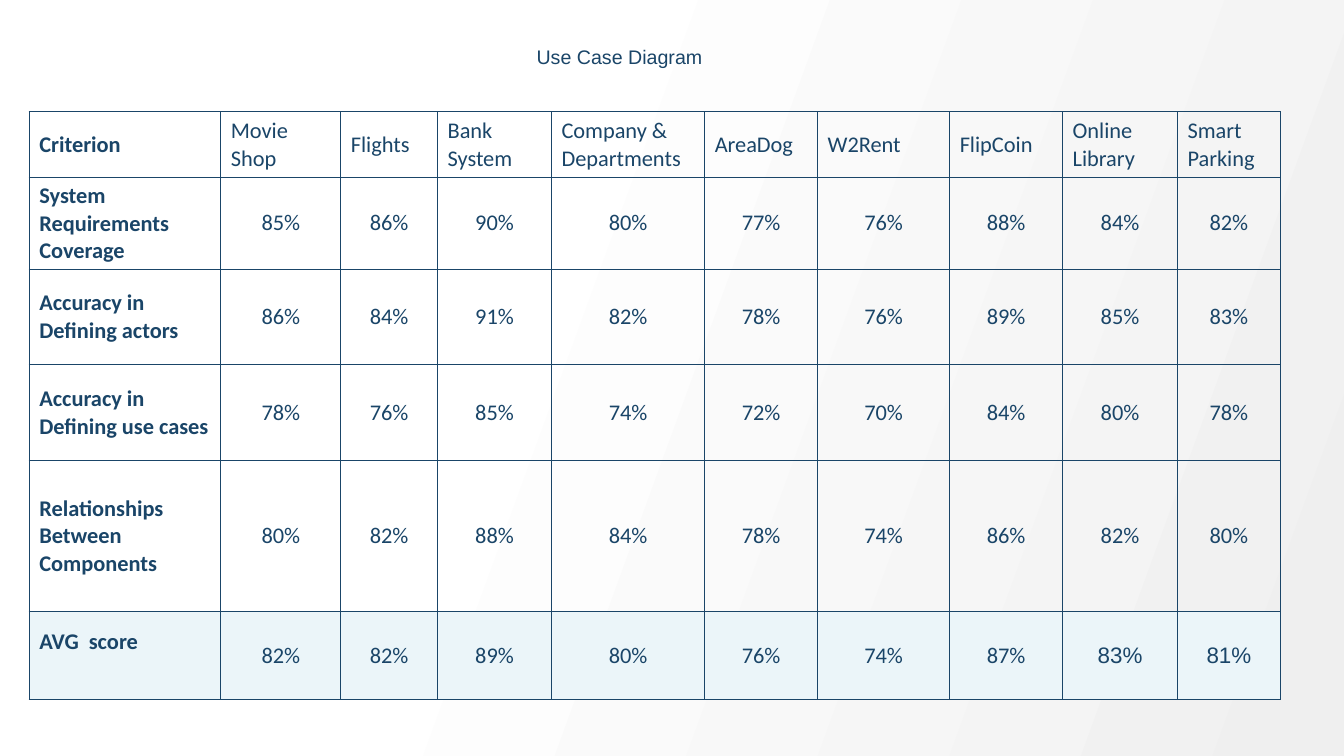
from lxml.etree import SubElement
from pptx import Presentation
from pptx.dml.color import RGBColor
from pptx.enum.text import MSO_ANCHOR, MSO_AUTO_SIZE, PP_ALIGN
from pptx.oxml.ns import qn
from pptx.util import Inches, Pt

NAVY = "1A4568"
PALE_BLUE = "EBF5F9"

COLUMN_WIDTHS = [1.9, 1.19, 0.96, 1.13, 1.52, 1.12, 1.31, 1.12, 1.14, 1.02]
ROW_HEIGHTS = [0.65, 0.91, 0.95, 0.95, 1.5, 0.87]
HEADINGS = ["Criterion", "Movie Shop", "Flights", "Bank System", "Company & Departments",
            "AreaDog", "W2Rent", "FlipCoin", "Online Library", "Smart Parking"]
SCORES = {
    "System Requirements Coverage": [85, 86, 90, 80, 77, 76, 88, 84, 82],
    "Accuracy in Defining actors": [86, 84, 91, 82, 78, 76, 89, 85, 83],
    "Accuracy in Defining use cases": [78, 76, 85, 74, 72, 70, 84, 80, 78],
    "Relationships Between Components": [80, 82, 88, 84, 78, 74, 86, 82, 80],
    "AVG  score": [82, 82, 89, 80, 76, 74, 87, 83, 81],
}


def color(value):
    return RGBColor.from_string(value)


def set_background(page):
    fill = page.background.fill
    fill.gradient()
    fill.gradient_angle = 340
    for stop, position, shade in zip(fill.gradient_stops, (0.35, 1), ("FFFFFF", "EFEFEF")):
        stop.position = position
        stop.color.rgb = color(shade)


def add_title(page, left, top, width, height):
    title = page.shapes.title
    title.left, title.top = Inches(left), Inches(top)
    title.width, title.height = Inches(width), Inches(height)
    frame = title.text_frame
    frame.text = "Use Case Diagram"
    frame.word_wrap = True
    frame.auto_size = MSO_AUTO_SIZE.SHAPE_TO_FIT_TEXT
    frame.vertical_anchor = MSO_ANCHOR.MIDDLE
    para = frame.paragraphs[0]
    para.alignment = PP_ALIGN.CENTER
    style_font(para.font, "Arial", 14)


def style_font(font, name, size, bold=False):
    font.name, font.size, font.bold = name, Pt(size), bold
    font.color.rgb = color(NAVY)


def add_borders(cell):
    properties = cell._tc.get_or_add_tcPr()
    for side in ("a:lnL", "a:lnR", "a:lnT", "a:lnB"):
        line = SubElement(properties, qn(side), w=str(Pt(1)))
        SubElement(SubElement(line, qn("a:solidFill")), qn("a:srgbClr"), val=NAVY)


def fill_cell(cell, text, is_header, is_label, is_average, font_name):
    cell.text = text
    cell.vertical_anchor = MSO_ANCHOR.MIDDLE
    para = cell.text_frame.paragraphs[0]
    para.alignment = PP_ALIGN.LEFT if is_header or is_label else PP_ALIGN.CENTER
    style_font(para.font, font_name, 16, is_label)
    add_borders(cell)
    if is_average:
        cell.fill.solid()
        cell.fill.fore_color.rgb = color(PALE_BLUE)
    else:
        cell.fill.background()


def add_score_table(page, left, top):
    rows = [HEADINGS] + [[label] + [f"{score}%" for score in scores]
                         for label, scores in SCORES.items()]
    frame = page.shapes.add_table(len(rows), len(HEADINGS), Inches(left), Inches(top),
                                  Inches(sum(COLUMN_WIDTHS)), Inches(sum(ROW_HEIGHTS)))
    table = frame.table
    table.first_row = table.horz_banding = False
    for column, width in zip(table.columns, COLUMN_WIDTHS):
        column.width = Inches(width)
    for row, height in zip(table.rows, ROW_HEIGHTS):
        row.height = Inches(height)

    last = len(rows) - 1
    for row_index, texts in enumerate(rows):
        for column_index, text in enumerate(texts):
            is_average = row_index == last
            font_name = "Arial" if is_average and column_index >= 8 else "Calibri"
            fill_cell(table.cell(row_index, column_index), text, row_index == 0,
                      column_index == 0, is_average, font_name)

    average_label = table.cell(last, 0)
    average_label.vertical_anchor = MSO_ANCHOR.TOP
    average_label.margin_top = Inches(0.16)


def main():
    deck = Presentation()
    deck.slide_width, deck.slide_height = Inches(13.33), Inches(7.5)
    page = deck.slides.add_slide(deck.slide_layouts[5])
    set_background(page)
    add_title(page, 4.39, 0.39, 3.51, 0.34)
    add_score_table(page, 0.29, 1.11)
    deck.save("out.pptx")


if __name__ == "__main__":
    main()
